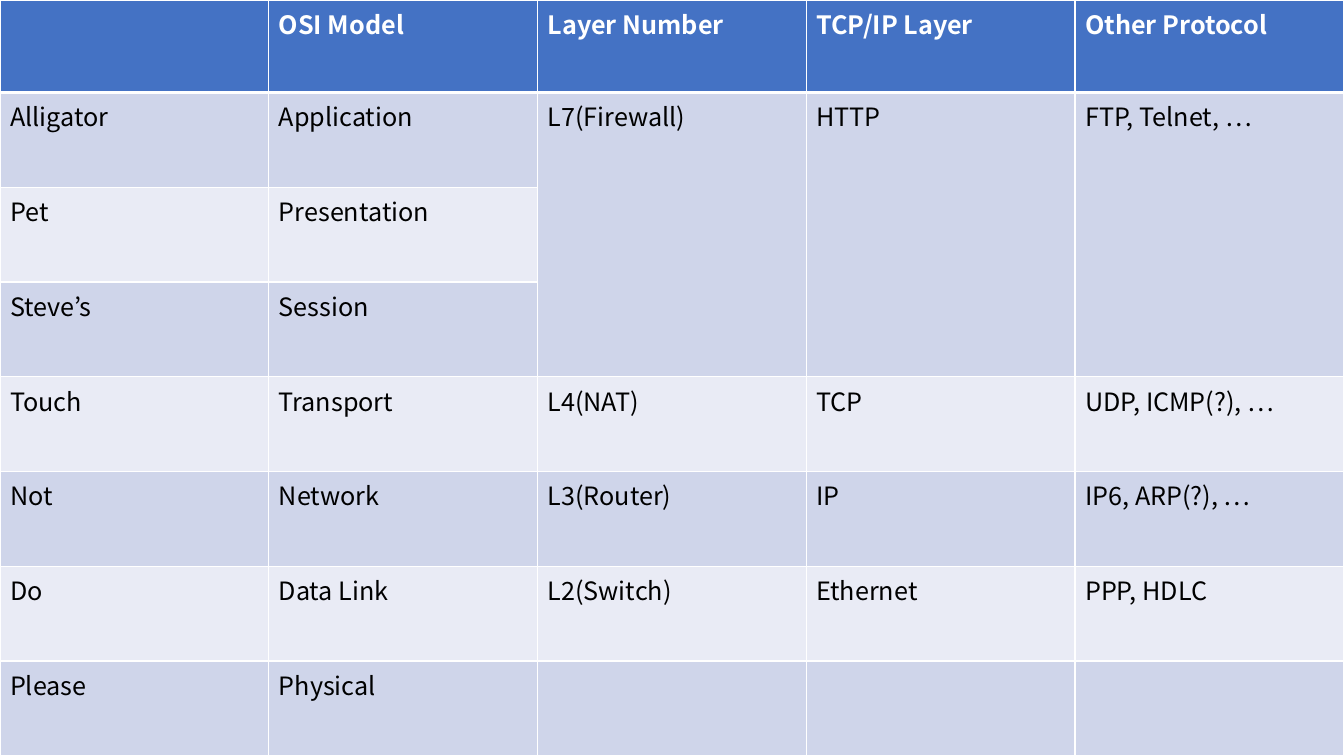
import pptx
import pptx.dml.color
import pptx.oxml
import pptx.oxml.ns
import pptx.util
from pptx.util import Cm

FONT = "Noto Sans CJK KR"
COLORS = {
    "header": "4472C4",
    "odd": "CFD5EA",
    "even": "E9EBF5",
    "border": "FFFFFF",
    "header_text": "FFFFFF",
    "body_text": "000000",
}
LAYERS = [
    ["", "OSI Model", "Layer Number", "TCP/IP Layer", "Other Protocol"],
    ["Alligator", "Application", "L7(Firewall)", "HTTP", "FTP, Telnet, …"],
    ["Pet", "Presentation", "", "", ""],
    ["Steve’s", "Session", "", "", ""],
    ["Touch", "Transport", "L4(NAT)", "TCP", "UDP, ICMP(?), …"],
    ["Not", "Network", "L3(Router)", "IP", "IP6, ARP(?), …"],
    ["Do", "Data Link", "L2(Switch)", "Ethernet", "PPP, HDLC"],
    ["Please", "Physical", "", "", ""],
]
WIDTH, HEIGHT, HEADER_HEIGHT = 33.87, 19.05, 2.33


def rgb(name):
    return pptx.dml.color.RGBColor.from_string(COLORS[name])


def add_border(cell, side, points):
    cell._tc.get_or_add_tcPr().append(pptx.oxml.parse_xml(
        f'<a:{side} {pptx.oxml.ns.nsdecls("a")} w="{pptx.util.Pt(points)}">'
        f'<a:solidFill><a:srgbClr val="{COLORS["border"]}"/></a:solidFill>'
        f'</a:{side}>'))


# Slide
deck = pptx.Presentation()
deck.slide_width, deck.slide_height = Cm(WIDTH), Cm(HEIGHT)
slide = deck.slides.add_slide(deck.slide_layouts[6])

# Table grid
osi_table = slide.shapes.add_table(
    len(LAYERS), len(LAYERS[0]), 0, 0, Cm(WIDTH), Cm(HEIGHT)).table
for column in osi_table.columns:
    column.width = Cm(WIDTH / len(LAYERS[0]))
for number, row in enumerate(osi_table.rows):
    row.height = Cm((HEIGHT - HEADER_HEIGHT) / (len(LAYERS) - 1) if number else HEADER_HEIGHT)

# The top three layers share one cell in each protocol column
for column in range(2, 5):
    osi_table.cell(1, column).merge(osi_table.cell(3, column))

# Cells
for row, layer in enumerate(LAYERS):
    is_header = row == 0
    band = "header" if is_header else "odd" if row % 2 else "even"
    text_format = {"name": FONT, "size": pptx.util.Pt(18), "bold": is_header}
    for column, label in enumerate(layer):
        cell = osi_table.cell(row, column)
        # Borders, with a heavier rule under the header
        for side, points in {"lnL": 1, "lnR": 1, "lnT": 3 if row == 1 else 1,
                             "lnB": 3 if is_header else 1}.items():
            add_border(cell, side, points)
        cell.fill.solid()
        cell.fill.fore_color.rgb = rgb(band)
        if label:
            run = cell.text_frame.paragraphs[0].add_run()
            run.text = label
            for attribute, value in text_format.items():
                setattr(run.font, attribute, value)
            run.font.color.rgb = rgb("header_text" if is_header else "body_text")
            # East Asian font, also used for some punctuation
            run._r.get_or_add_rPr().append(pptx.oxml.parse_xml(
                f'<a:ea {pptx.oxml.ns.nsdecls("a")} typeface="{FONT}"/>'))

deck.save("out.pptx")
